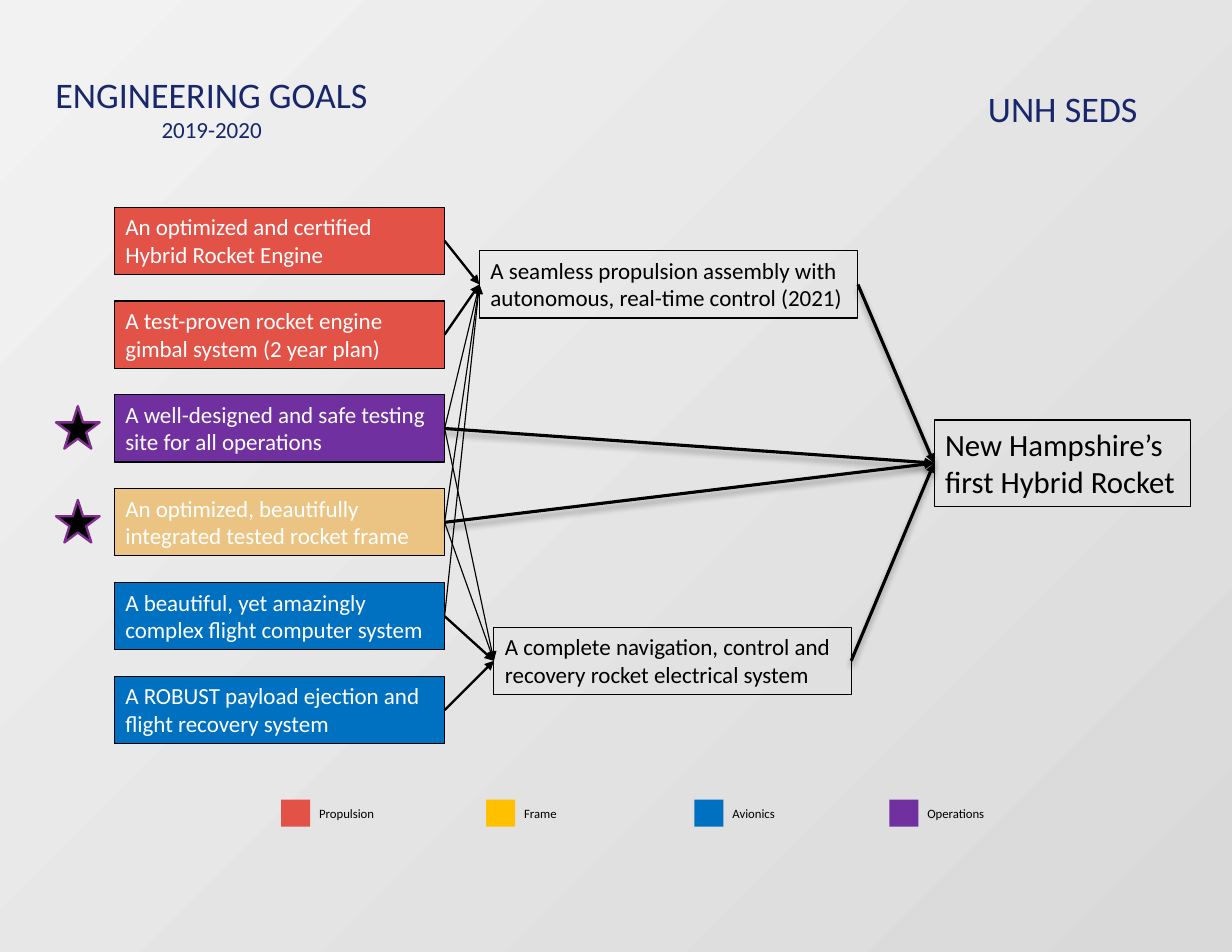
from dataclasses import dataclass

from lxml import etree
from pptx import Presentation
from pptx.dml.color import RGBColor
from pptx.enum.dml import MSO_FILL
from pptx.enum.shapes import MSO_CONNECTOR, MSO_SHAPE
from pptx.enum.text import MSO_ANCHOR, MSO_AUTO_SIZE, PP_ALIGN
from pptx.oxml.ns import qn
from pptx.util import Inches, Pt

RECT, STAR = MSO_SHAPE.RECTANGLE, MSO_SHAPE.STAR_5_POINT
STRAIGHT = MSO_CONNECTOR.STRAIGHT
TOP, MIDDLE = MSO_ANCHOR.TOP, MSO_ANCHOR.MIDDLE
LEFT, CENTER = PP_ALIGN.LEFT, PP_ALIGN.CENTER
NO_AUTOFIT = MSO_AUTO_SIZE.NONE
GRADIENT = MSO_FILL.GRADIENT
LEFT_SIDE, RIGHT_SIDE = 1, 3


@dataclass(frozen=True)
class Theme:
    font: str = "Calibri"
    navy: str = "18276C"
    black: str = "000000"
    white: str = "FFFFFF"
    propulsion: str = "E25247"
    frame: str = "FFC000"
    frame_goal: str = "EBC483"
    avionics: str = "0070C0"
    operations: str = "7030A0"
    star_line: str = "7F2E8F"
    bg_dark: str = "D9D9D9"
    bg_light: str = "F2F2F2"
    heading: float = 23.1
    final: float = 19.8
    body: float = 14.8
    legend: float = 8.2


THEME = Theme()

GOALS = [
    ("An optimized and certified Hybrid Rocket Engine", THEME.propulsion),
    ("A test-proven rocket engine gimbal system (2 year plan)", THEME.propulsion),
    ("A well-designed and safe testing site for all operations", THEME.operations),
    ("An optimized, beautifully integrated tested rocket frame", THEME.frame_goal),
    ("A beautiful, yet amazingly complex flight computer system", THEME.avionics),
    ("A ROBUST payload ejection and flight recovery system", THEME.avionics),
]
STARRED_GOALS = (2, 3)
GOAL_TOP, GOAL_STEP = 1.85, 0.838

LEGEND = [
    ("Propulsion", THEME.propulsion, 2.51),
    ("Frame", THEME.frame, 4.34),
    ("Avionics", THEME.avionics, 6.2),
    ("Operations", THEME.operations, 7.94),
]


def rgb(color):
    return RGBColor.from_string(color)


def place(sp, left, top, width, height):
    sp.left, sp.top = Inches(left), Inches(top)
    sp.width, sp.height = Inches(width), Inches(height)


def write(sp, *runs, color=THEME.black, align=LEFT, anchor=TOP, insets=(0.1, 0.05)):
    """Fill a shape with (text, size) runs in a single paragraph."""
    tf = sp.text_frame
    tf.word_wrap = True
    tf.auto_size = NO_AUTOFIT
    tf.vertical_anchor = anchor
    tf.margin_left = tf.margin_right = Inches(insets[0])
    tf.margin_top = tf.margin_bottom = Inches(insets[1])
    p = tf.paragraphs[0]
    p.alignment = align
    for i, (text, size) in enumerate(runs):
        if i:
            p.add_line_break()
        r = p.add_run()
        r.text = text
        r.font.name = THEME.font
        r.font.size = Pt(size)
        r.font.color.rgb = rgb(color)


def add_text(slide, text, size, box, **style):
    sp = slide.shapes.add_textbox(*map(Inches, box))
    write(sp, (text, size), **style)


def add_figure(slide, preset, box, fill=None, line=None, width=0.75):
    sp = slide.shapes.add_shape(preset, *map(Inches, box))
    sp.shadow.inherit = False
    if fill:
        sp.fill.solid()
        sp.fill.fore_color.rgb = rgb(fill)
    else:
        sp.fill.background()
    if line:
        sp.line.color.rgb = rgb(line)
        sp.line.width = Pt(width)
    else:
        sp.line.fill.background()
    return sp


def add_box(slide, text, box, size=THEME.body, fill=None):
    sp = add_figure(slide, RECT, box, fill, THEME.black)
    write(sp, (text, size), color=THEME.white if fill else THEME.black)
    return sp


def add_arrow(slide, source, target, width, shadow=False):
    """Join the right side of source to the left side of target."""
    line = slide.shapes.add_connector(STRAIGHT, 0, 0, 0, 0)
    line.begin_connect(source, RIGHT_SIDE)
    line.end_connect(target, LEFT_SIDE)
    line.line.color.rgb = rgb(THEME.black)
    line.line.width = Pt(width)
    etree.SubElement(line.line._get_or_add_ln(), qn("a:tailEnd"), type="triangle")
    effects = etree.SubElement(line._element.spPr, qn("a:effectLst"))
    if shadow:
        outer = etree.SubElement(effects, qn("a:outerShdw"), blurRad=str(Pt(4)),
                                 dist=str(Pt(3)), dir="5400000", rotWithShape="0")
        color = etree.SubElement(outer, qn("a:srgbClr"), val=THEME.black)
        etree.SubElement(color, qn("a:alpha"), val="35000")


def set_background(slide):
    fill = slide.background.fill
    if fill.type != GRADIENT:
        fill.gradient()
    fill.gradient_angle = 135
    stops = zip(fill.gradient_stops, (0, 1), (THEME.bg_dark, THEME.bg_light))
    for stop, position, color in stops:
        stop.position = position
        stop.color.rgb = rgb(color)


def add_headings(slide):
    title = slide.shapes.title
    place(title, 0.31, 0.75, 3.16, 0.43)
    write(title, ("ENGINEERING GOALS", THEME.heading), ("2019-2020", THEME.body),
          color=THEME.navy, align=CENTER, anchor=MIDDLE)
    add_text(slide, "UNH SEDS", THEME.heading, (8.72, 0.75, 1.54, 0.43),
             color=THEME.navy, align=CENTER, anchor=MIDDLE, insets=(0.08, 0.04))


def add_goals(slide):
    goals = []
    for i, (text, fill) in enumerate(GOALS):
        top = GOAL_TOP + i * GOAL_STEP
        goals.append(add_box(slide, text, (1.02, top, 2.95, 0.6), fill=fill))
        if i in STARRED_GOALS:
            add_figure(slide, STAR, (0.5, top + 0.1, 0.39, 0.38),
                       THEME.black, THEME.star_line, 1.5)
    return goals


def add_legend(slide):
    for name, color, left in LEGEND:
        add_figure(slide, RECT, (left, 7.14, 0.26, 0.24), color)
        add_text(slide, name, THEME.legend, (left + 0.33, 7.14, 1.15, 0.24),
                 anchor=MIDDLE, insets=(0.01, 0))


def main():
    prs = Presentation()
    prs.slide_width, prs.slide_height = Inches(11), Inches(8.5)
    slide = prs.slides.add_slide(prs.slide_layouts[5])
    set_background(slide)
    add_headings(slide)

    goals = add_goals(slide)
    engine, gimbal, site, frame, computer, payload = goals
    propulsion = add_box(
        slide, "A seamless propulsion assembly with autonomous, real-time control (2021)",
        (4.28, 2.24, 3.38, 0.6))
    electrical = add_box(
        slide, "A complete navigation, control and recovery rocket electrical system",
        (4.41, 5.6, 3.19, 0.6))
    rocket = add_box(slide, "New Hampshire’s first Hybrid Rocket",
                     (8.34, 3.75, 2.29, 0.77), THEME.final)

    for target, main_goals, side_goals in (
        (propulsion, (engine, gimbal), (site, frame, computer)),
        (electrical, (payload, computer), (frame, site)),
    ):
        for goal in main_goals:
            add_arrow(slide, goal, target, 1.5)
        for goal in side_goals:
            add_arrow(slide, goal, target, 0.75)
    for source in (propulsion, electrical, site, frame):
        add_arrow(slide, source, rocket, 2, shadow=True)

    add_legend(slide)
    prs.save("out.pptx")


if __name__ == "__main__":
    main()
